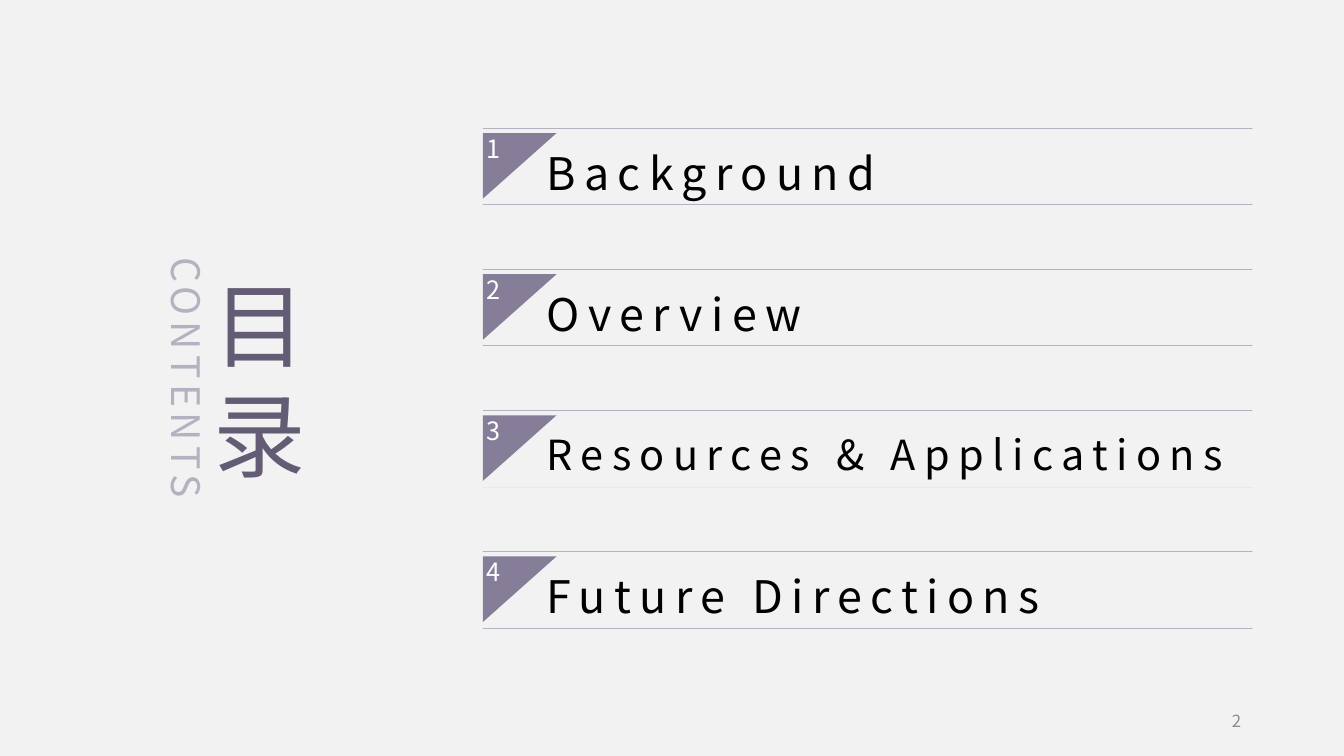
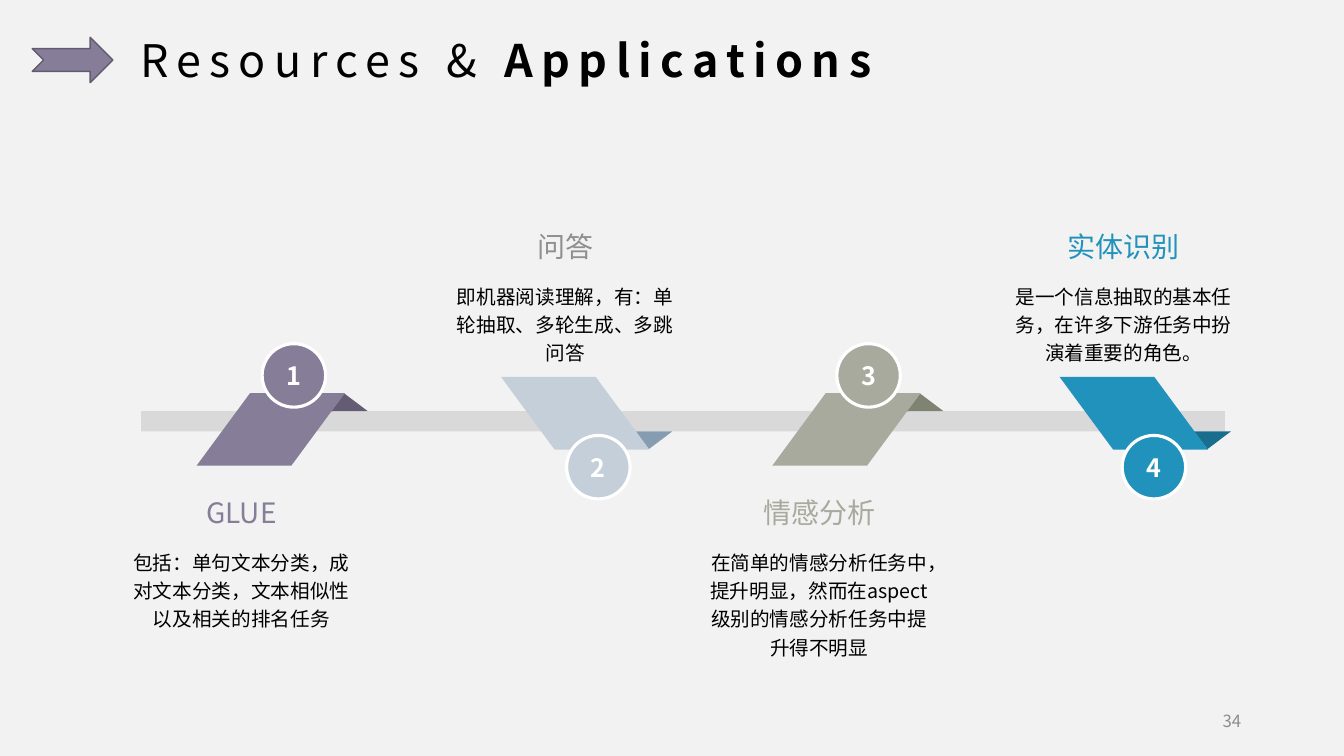
from dataclasses import dataclass

from lxml import etree
from pptx import Presentation
from pptx import util as u
from pptx.dml import color
from pptx.enum import shapes, text
from pptx.oxml import ns


@dataclass(frozen=True)
class Theme:
    font: str = "Noto Sans CJK SC"
    background: str = "F2F2F2"
    ink: str = "000000"
    white: str = "FFFFFF"
    accent: str = "867D98"
    accent_dark: str = "645C74"
    accent_pale: str = "B6B1C1"
    arrow_edge: str = "635C70"
    track: str = "D9D9D9"
    footer: str = "8C8C8C"
    title_size: float = 32
    contents_size: float = 66
    contents_sub_size: float = 28
    heading_size: float = 20
    number_size: float = 18
    body_size: float = 14
    footer_size: float = 12
    title_spacing: float = 6


THEME = Theme()
SHAPE = shapes.MSO_SHAPE
ANCHOR = text.MSO_ANCHOR
ALIGN = text.PP_ALIGN
PADDED = (0.1, 0.05, 0.1, 0.05)
FLUSH = (0, 0, 0, 0)

AGENDA = [
    ("Background", THEME.title_size),
    ("Overview", THEME.title_size),
    ("Resources & Applications", 29.6),
    ("Future Directions", THEME.title_size),
]


@dataclass(frozen=True)
class Milestone:
    ribbon_left: float
    badge_left: float
    caption_left: float
    raised: bool
    fill: str
    fold_fill: str
    ink: str
    heading: str
    body: str


MILESTONES = [
    Milestone(1.95, 2.6, 1.18, False, THEME.accent, THEME.accent_dark, THEME.accent,
              "GLUE", "包括：单句文本分类，成对文本分类，文本相似性以及相关的排名任务"),
    Milestone(4.97, 5.62, 4.39, True, "C4CFD9", "859CB1", "8F8F8F",
              "问答", "即机器阅读理解，有：单轮抽取、多轮生成、多跳问答"),
    Milestone(7.66, 8.3, 6.91, False, "A7AA9D", "7F8372", "A7AA9D", "情感分析",
              "在简单的情感分析任务中，提升明显，然而在aspect级别的情感分析任务中提升得不明显"),
    Milestone(10.51, 11.13, 9.93, True, "2192BC", "196D8D", "2192BC",
              "实体识别", "是一个信息抽取的基本任务，在许多下游任务中扮演着重要的角色。"),
]


def rgb(value):
    return color.RGBColor.from_string(value)


def inches(*lengths):
    return [u.Inches(length) for length in lengths]


def add_run(paragraph, words, size, ink, bold=False, spacing=0):
    run = paragraph.add_run()
    run.text = words
    run.font.size = u.Pt(size)
    run.font.bold = bold
    run.font.color.rgb = rgb(ink)
    run.font.name = THEME.font
    properties = run.font._element
    etree.SubElement(properties, ns.qn("a:ea"), typeface=THEME.font)
    if spacing:
        properties.set("spc", str(int(spacing * 100)))


def write(owner, paragraphs, align=ALIGN.LEFT, anchor=ANCHOR.TOP,
          insets=PADDED, wrap=True, line_spacing=None):
    frame = owner.text_frame
    frame.word_wrap = wrap
    frame.vertical_anchor = anchor
    (frame.margin_left, frame.margin_top,
     frame.margin_right, frame.margin_bottom) = inches(*insets)
    for index, runs in enumerate(paragraphs):
        paragraph = frame.add_paragraph() if index else frame.paragraphs[0]
        paragraph.alignment = align
        if line_spacing:
            paragraph.line_spacing = line_spacing
        for run in runs:
            add_run(paragraph, **run)


def styled(words, size, ink, bold=False, spacing=0):
    return dict(words=words, size=size, ink=ink, bold=bold, spacing=spacing)


def add_text(slide, box, paragraphs, **layout):
    label = slide.shapes.add_textbox(*inches(*box))
    write(label, paragraphs, **layout)
    return label


def paint(part, fill=None, edge=None, edge_width=1):
    part.shadow.inherit = False
    if fill:
        part.fill.solid()
        part.fill.fore_color.rgb = rgb(fill)
    else:
        part.fill.background()
    if edge:
        part.line.color.rgb = rgb(edge)
        part.line.width = u.Pt(edge_width)
    else:
        part.line.fill.background()
    return part


def add_shape(slide, kind, box, fill, edge=None, edge_width=1, rotation=0, flip=False):
    part = paint(slide.shapes.add_shape(kind, *inches(*box)), fill, edge, edge_width)
    part.rotation = rotation
    if flip:
        part._element.spPr.xfrm.set("flipV", "1")
    return part


def add_outline(slide, contours, **look):
    first, *others = contours
    outline = slide.shapes.build_freeform(*inches(*first[0]), scale=1.0)
    outline.add_line_segments([inches(*point) for point in first[1:]], close=True)
    for contour in others:
        outline.move_to(*inches(*contour[0]))
        outline.add_line_segments([inches(*point) for point in contour[1:]], close=True)
    return paint(outline.convert_to_shape(), **look)


def new_slide(deck, page):
    slide = deck.slides.add_slide(deck.slide_layouts[6])
    slide.background.fill.solid()
    slide.background.fill.fore_color.rgb = rgb(THEME.background)
    add_text(slide, (9.41, 6.95, 3, 0.4),
             [[styled(page, THEME.footer_size, THEME.footer)]],
             align=ALIGN.RIGHT, anchor=ANCHOR.MIDDLE)
    return slide


def add_agenda_entry(slide, box, number, topic, size):
    left, top, width, height = box
    rules = [[(left, edge), (left + width, edge), (left, edge)]
             for edge in (top + height, top)]
    entry = add_outline(slide, rules, edge=THEME.accent_pale, edge_width=0.25)
    write(entry, [[styled(topic, size, THEME.ink, spacing=THEME.title_spacing)]],
          anchor=ANCHOR.MIDDLE, insets=(0.63, 0, 0, 0.04), line_spacing=1.3)
    flag_top = top + 0.05
    corner = [(left, flag_top), (left + 0.73, flag_top), (left, flag_top + 0.65)]
    flag = add_outline(slide, [corner], fill=THEME.accent)
    write(flag, [[styled(str(number), THEME.number_size, THEME.white)]],
          insets=(0.04, 0, 0, 0))


def add_contents_heading(slide, box):
    left, top, width, height = box
    add_text(slide, box,
             [[styled(character, THEME.contents_size, THEME.accent_dark)]
              for character in "目录"],
             align=ALIGN.CENTER, anchor=ANCHOR.MIDDLE, insets=FLUSH)
    subtitle = add_text(
        slide, (left - 1.96, top + 1.21, 4.04, 0.57),
        [[styled("CONTENTS", THEME.contents_sub_size, THEME.accent_pale, spacing=4)]],
        align=ALIGN.CENTER)
    subtitle.rotation = 90


def build_contents(deck):
    slide = new_slide(deck, "2")
    pitch = 1.4
    for index, (topic, size) in enumerate(AGENDA):
        add_agenda_entry(slide, (4.79, 1.27 + index * pitch, 7.63, 0.76),
                         index + 1, topic, size)
    add_contents_heading(slide, (1.79, 2.25, 1.57, 3.01))


def add_title(slide, box, plain, strong):
    left, top, width, height = box
    add_shape(slide, SHAPE.NOTCHED_RIGHT_ARROW, (left, top + 0.09, 0.8, 0.45),
              THEME.accent, THEME.arrow_edge)
    add_text(slide, (left + 0.97, top, width - 0.97, height), [[
        styled(plain, THEME.title_size, THEME.ink, spacing=THEME.title_spacing),
        styled(strong, THEME.title_size, THEME.ink, True, THEME.title_spacing),
    ]])


def add_ribbon(slide, box, milestone, number):
    left, top, width, height = box
    raised = milestone.raised
    fold_drop, badge_drop = (0.43, 0.58) if raised else (0.07, -0.49)
    add_shape(slide, SHAPE.RIGHT_TRIANGLE, (left + 1.37, top + fold_drop, 0.29, 0.22),
              milestone.fold_fill, rotation=323 if raised else 37, flip=not raised)
    band = add_shape(slide, SHAPE.PARALLELOGRAM, box, milestone.fill, flip=raised)
    band.adjustments[0] = 0.737
    badge = add_shape(slide, SHAPE.OVAL,
                      (milestone.badge_left, top + badge_drop, 0.63, 0.63),
                      milestone.fill, THEME.white, 2.25)
    write(badge, [[styled(str(number), THEME.number_size, THEME.white, True)]],
          align=ALIGN.CENTER, anchor=ANCHOR.MIDDLE, wrap=False)


def add_caption(slide, box, milestone):
    left, top, width, height = box
    add_text(slide, (left, top, width, 0.37),
             [[styled(milestone.heading, THEME.heading_size, milestone.ink)]],
             align=ALIGN.CENTER, anchor=ANCHOR.BOTTOM, wrap=False)
    add_text(slide, (left, top + 0.44, width, height - 0.44),
             [[styled(milestone.body, THEME.body_size, THEME.ink)]],
             align=ALIGN.CENTER, line_spacing=1.2)


def build_timeline(deck):
    slide = new_slide(deck, "34")
    add_title(slide, (0.32, 0.28, 9.22, 0.64), "Resources & ", "Applications")
    add_shape(slide, SHAPE.RECTANGLE, (1.4, 4.08, 10.75, 0.2), THEME.track)
    for number, milestone in enumerate(MILESTONES, 1):
        ribbon_top, caption_top = (3.74, 2.29) if milestone.raised else (3.9, 4.93)
        add_ribbon(slide, (milestone.ribbon_left, ribbon_top, 1.47, 0.72),
                   milestone, number)
        add_caption(slide, (milestone.caption_left, caption_top, 2.43, 1.41), milestone)


def main():
    deck = Presentation()
    deck.slide_width, deck.slide_height = inches(13.33, 7.5)
    build_contents(deck)
    build_timeline(deck)
    deck.save("out.pptx")


if __name__ == "__main__":
    main()
